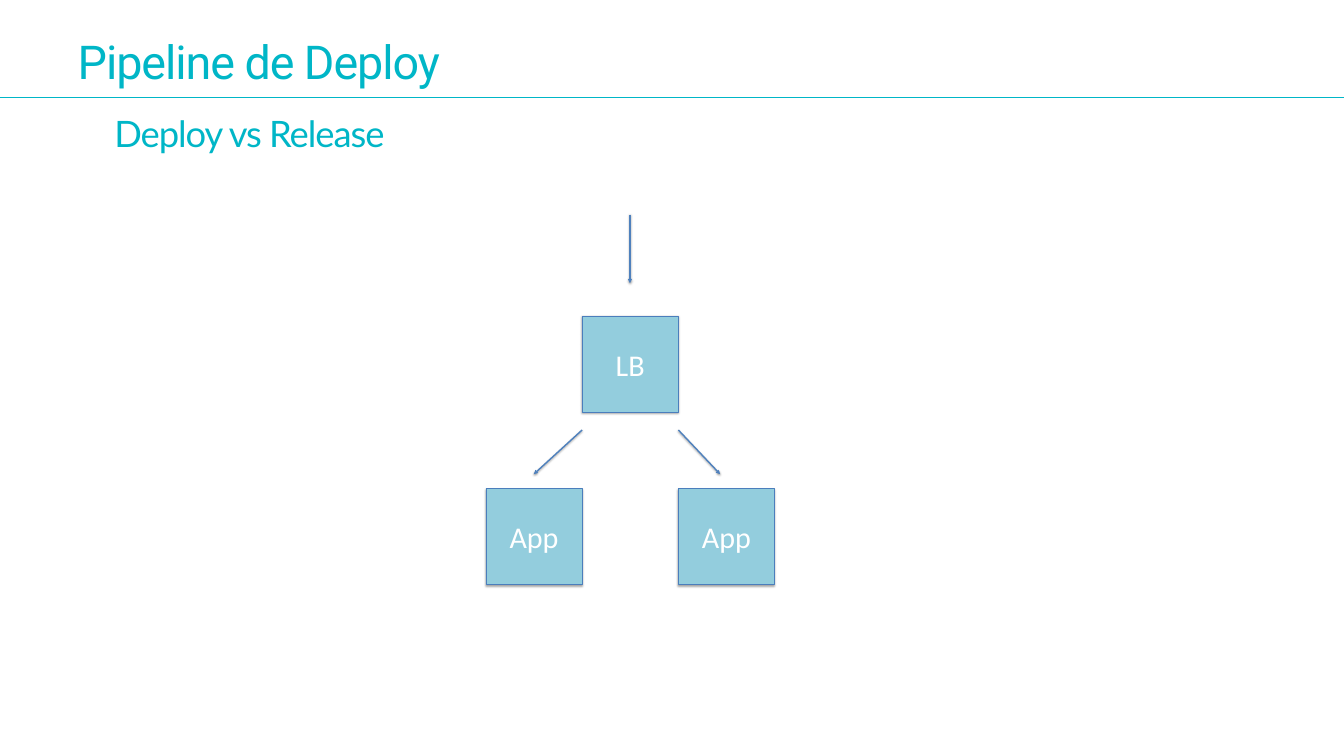
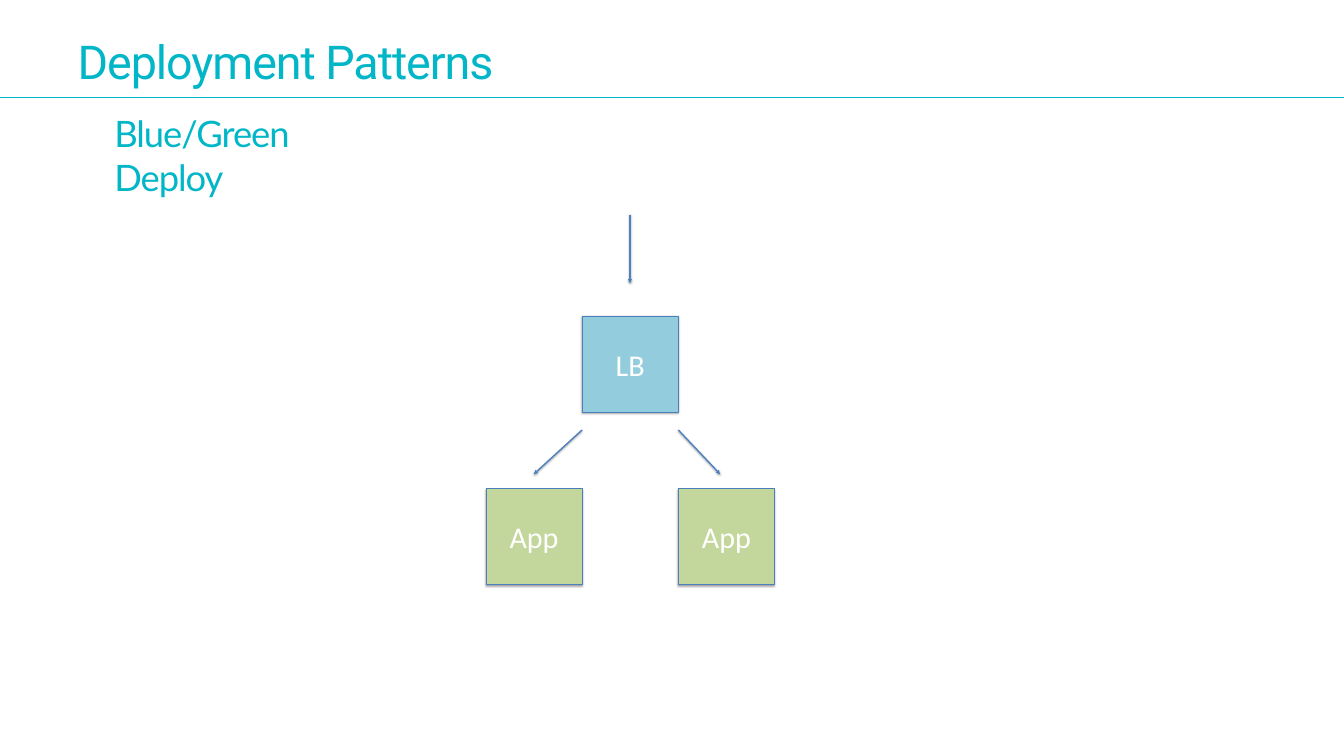
"""Two slides on deploy pipelines, each with a load balancer diagram."""
from lxml import etree
from pptx import Presentation
from pptx.dml import color
from pptx.enum import shapes, text
from pptx.oxml import ns
from pptx.util import Cm, Pt

TEAL, WHITE, BLUE, GREEN = "00B6C7", "FFFFFF", "93CDDD", "C3D69B"
EDGE, ARROW = "4B7EBC", "4F81BD"
WIDE, HIGH = 67.74, 38.1
SIDE = 4.85
MID, LEFT = 29.34, 24.49
RIGHT = MID + SIDE


def rgb(code):
    """Turn a hex string into a colour."""
    return color.RGBColor.from_string(code)


def write(shape, words, size, font, tint=WHITE, align="LEFT", anchor="TOP", spc=0):
    """Put one formatted paragraph into a shape."""
    frame = shape.text_frame
    frame.word_wrap = True
    frame.auto_size = text.MSO_AUTO_SIZE.NONE
    frame.vertical_anchor = getattr(text.MSO_ANCHOR, anchor)
    para = frame.paragraphs[0]
    para.alignment = getattr(text.PP_ALIGN, align)
    para.space_before = Pt(0)
    props = para._p.get_or_add_pPr()
    props.set("marL", "0")
    props.set("indent", "0")
    etree.SubElement(props, ns.qn("a:buNone"))
    run = para.add_run()
    run.text = words
    run.font.size = Pt(size)
    run.font.name = font
    run.font.color.rgb = rgb(tint)
    if spc:
        run.font._element.set("spc", str(int(spc * 100)))


def place(shape, left, top, width, height):
    """Move and size a shape, in centimetres."""
    shape.left, shape.top = Cm(left), Cm(top)
    shape.width, shape.height = Cm(width), Cm(height)


def shade(shape, alpha, dist):
    """Add a soft black shadow straight below a shape."""
    props = shape._element.spPr
    for old in props.findall(ns.qn("a:effectLst")):
        props.remove(old)
    effects = etree.SubElement(props, ns.qn("a:effectLst"))
    if alpha:
        outer = etree.SubElement(
            effects, ns.qn("a:outerShdw"), blurRad=str(Pt(3.1)),
            dist=str(Pt(dist)), dir="5400000", rotWithShape="0")
        black = etree.SubElement(outer, ns.qn("a:srgbClr"), val="000000")
        etree.SubElement(black, ns.qn("a:alpha"), val=str(alpha * 1000))


def line(slide, start, end, tint):
    """Draw a straight line."""
    link = slide.shapes.add_connector(
        shapes.MSO_CONNECTOR.STRAIGHT, *map(Cm, start + end))
    link.line.color.rgb = rgb(tint)
    link.line.width = Pt(2)
    shade(link, 0, 0)
    return link


def arrow(slide, start, end):
    """Draw a shaded line with a head at its end."""
    link = line(slide, start, end, ARROW)
    etree.SubElement(link.line._get_or_add_ln(), ns.qn("a:tailEnd"), type="triangle")
    shade(link, 38, 1.6)


def box(slide, words, left, top, fill):
    """Draw a labelled square."""
    shape = slide.shapes.add_shape(
        shapes.MSO_SHAPE.RECTANGLE, Cm(left), Cm(top), Cm(SIDE), Cm(SIDE))
    shape.fill.solid()
    shape.fill.fore_color.rgb = rgb(fill)
    shape.line.color.rgb = rgb(EDGE)
    shape.line.width = Pt(0.75)
    shade(shape, 35, 1.8)
    write(shape, words, 43, "Calibri", align="CENTER", anchor="MIDDLE")


def head(slide, title, width, topic, span):
    """Fill the title and topic and draw the rule between them."""
    line(slide, (0, 4.9), (WIDE, 4.9), TEAL)
    name, body = slide.placeholders
    place(name, 3.66, 1.52, width, 3.1)
    write(name, title, 66.6, "Roboto", TEAL, spc=-1.5)
    place(body, 5.51, 5.49, span, 2.49)
    write(body, topic, 52, "Lato", TEAL, spc=-1.5)


def graph(slide, fill):
    """Draw the balancer, its two apps and the arrows."""
    box(slide, "LB", MID, 15.93, BLUE)
    for left in (LEFT, RIGHT):
        box(slide, "App", left, 24.61, fill)
    arrow(slide, (MID, 21.67), (26.9, 23.9))
    arrow(slide, (RIGHT, 21.67), (36.3, 23.9))
    arrow(slide, (31.75, 10.82), (31.75, 14.27))


def main():
    """Build and save the slides."""
    deck = Presentation()
    deck.slide_width, deck.slide_height = Cm(WIDE), Cm(HIGH)
    for title, width, topic, span, fill in (
        ("Pipeline de Deploy", 20.04, "Deploy vs Release", 14.4, BLUE),
        ("Deployment Patterns", 22.25, "Blue/Green Deploy", 14.73, GREEN),
    ):
        slide = deck.slides.add_slide(deck.slide_layouts[1])
        head(slide, title, width, topic, span)
        graph(slide, fill)
    deck.save("out.pptx")


if __name__ == "__main__":
    main()
